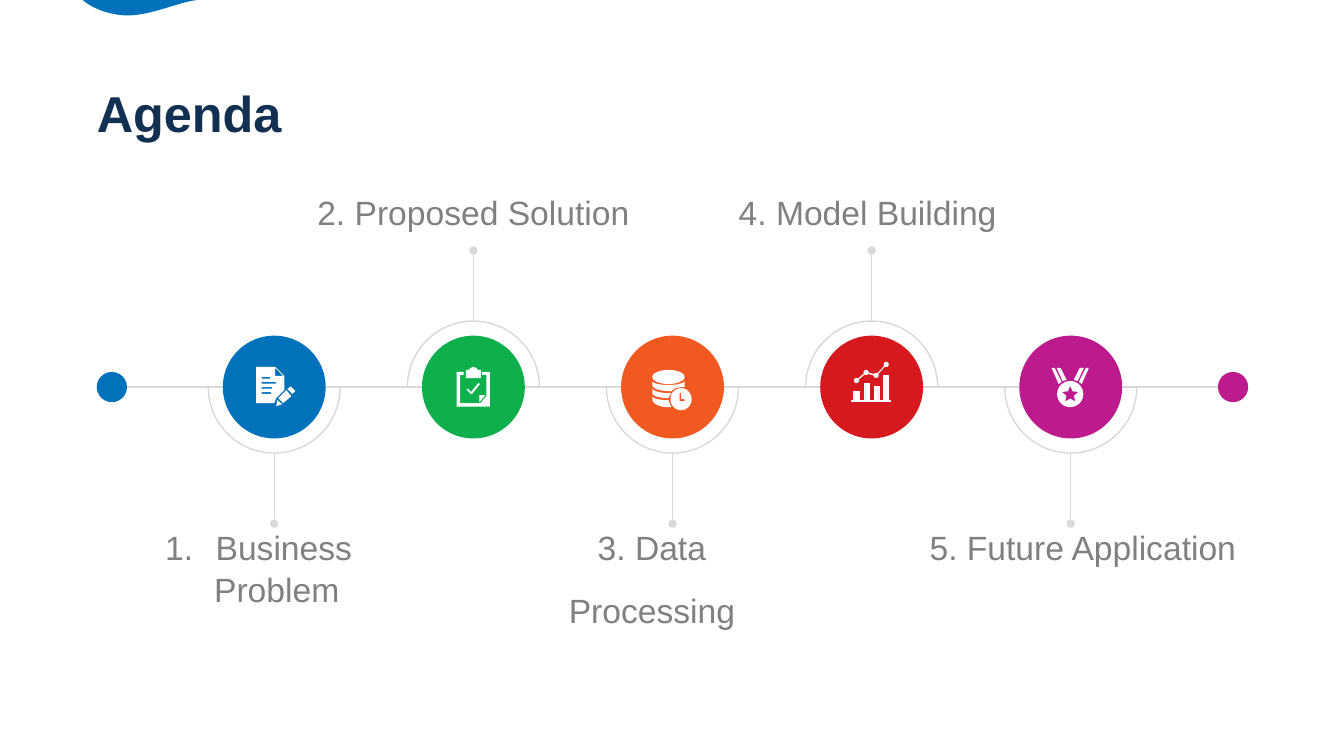
from dataclasses import dataclass
from math import cos, radians, sin

from lxml import etree
from pptx import Presentation
from pptx.dml.color import RGBColor
from pptx.enum.shapes import MSO_CONNECTOR, MSO_SHAPE
from pptx.enum.text import MSO_ANCHOR, MSO_AUTO_SIZE, PP_ALIGN
from pptx.oxml.ns import qn
from pptx.util import Inches, Pt

STRAIGHT = MSO_CONNECTOR.STRAIGHT
OVAL, ARC = MSO_SHAPE.OVAL, MSO_SHAPE.ARC
LEFT, CENTER = PP_ALIGN.LEFT, PP_ALIGN.CENTER
TOP, GROW = MSO_ANCHOR.TOP, MSO_AUTO_SIZE.SHAPE_TO_FIT_TEXT
TITLE_ONLY = 5

COLORS = {"navy": "113052", "gray": "808080", "rule": "D9D9D9", "white": "FFFFFF",
          "blue": "0071BB", "green": "0DB04A", "orange": "F05A21",
          "red": "D6181F", "magenta": "BC1A8D"}
AXIS_Y = 3.84
FIRST_X, LAST_X = 2.72, 10.62
DISC, HALO, END_DOT = 1.02, 1.31, 0.3
STEM = 0.7

Point = tuple[float, float]
Contour = list[Point]
Outline = list[Contour]


@dataclass(frozen=True)
class Line:
    text: str
    gap: float = 0  # points before
    margin: float = 0
    numbered: bool = False


@dataclass(frozen=True)
class Station:
    lines: tuple[Line, ...]
    color: str
    above: bool
    label_left: float
    label_width: float
    icon: list[Outline]


def rgb(name: str) -> RGBColor:
    return RGBColor.from_string(COLORS[name])


# Icon geometry, in hundredths of an inch from the disc centre
def curve(cx: float, cy: float, rx: float, ry: float,
          start: float = 0, end: float = 360, steps: int = 32) -> Contour:
    angles = [radians(start + (end - start) * i / steps) for i in range(steps + 1)]
    return [(cx + rx * cos(a), cy + ry * sin(a)) for a in angles]


def box(left: float, top: float, right: float, bottom: float) -> Contour:
    return [(left, top), (right, top), (right, bottom), (left, bottom)]


def bezier(p0: Point, p1: Point, p2: Point, p3: Point, steps: int = 24) -> Contour:
    return [tuple((1 - t) ** 3 * a + 3 * (1 - t) ** 2 * t * b + 3 * (1 - t) * t * t * c + t ** 3 * d
                  for a, b, c, d in zip(p0, p1, p2, p3))
            for t in (i / steps for i in range(steps + 1))]


def document_icon() -> list[Outline]:
    page = [(-18, -20), (1, -20), (10, -11), (10, 3), (2, 11), (0, 16), (-18, 16)]
    fold = [(1, -19), (9, -11), (1, -11)]
    rows = [box(-12.5, top, right, top + 1.7)
            for top, right in ((-10, -4), (-5, 1.5), (0, -2), (5, -3))]
    pencil = [(12, 3), (4, 11), (9, 16), (17, 9)]
    tip = [(3, 13), (2, 19), (8, 17)]
    eraser = [(21, 4), (16.5, -0.5), (13, 2), (18, 7)]
    return [[page, fold, *rows], [pencil], [tip], [eraser]]


def clipboard_icon() -> list[Outline]:
    tick = [(-7, 2), (-5.5, 1.5), (-2.5, 5), (5, -4), (6.5, -3), (-1.5, 7), (-2.5, 7)]
    clip = [(-7.5, -17), (-4.5, -17), (-3, -19), (0, -20), (3, -19),
            (4.5, -17), (7.5, -17), (7.5, -9), (-7.5, -9)]
    board = [(8.5, -15), (16.5, -15), (16.5, 19.5), (-16.5, 19.5), (-16.5, -15),
             (-9.5, -15), (-9.5, -12), (-13, -12), (-13, 16), (7, 16),
             (13, 9), (13, -12), (8.5, -12)]
    curl = [(12, 8), (6, 8), (6, 15)]
    return [[tick], [clip], [board], [curl]]


def database_icon() -> list[Outline]:
    lid = curve(-4, -10, 16, 7)
    upper = (curve(-4, -6, 16, 4, 180, 0) + [(12, 0), (8, 0), (2, 1.5), (-1, 4)]
             + curve(-4, -2, 16, 6, 90, 180))
    middle = curve(-4, 1, 16, 5, 180, 80) + [(-4, 11)] + curve(-4, 6, 16, 5, 90, 180)
    lower = curve(-4, 9, 16, 4, 180, 90) + curve(-4, 12, 16, 8, 80, 180)
    hands = [(7, 6), (8.5, 6), (8.5, 12), (12, 12), (12, 14), (7, 14)]
    return [[lid], [upper], [middle], [lower], [curve(8.5, 12, 10.5, 11), hands]]


def chart_icon() -> list[Outline]:
    bars = [box(left, top, left + 6.5, 13)
            for left, top in ((-18, 4), (-8, -4), (2, -1), (11, -12))]
    trend = [(-15, -6.5), (-5.5, -14.5), (4.5, -11.5), (14.5, -22.5)]
    band = [(x, y - 0.8) for x, y in trend] + [(x, y + 0.8) for x, y in reversed(trend)]
    dots = [curve(x, y, 2.5, 2.5) for x, y in trend]
    return [[shape] for shape in (*bars, box(-20, 13, 19, 14.5), band, *dots)]


def medal_icon() -> list[Outline]:
    ribbons = [[(18, -19), (15, -19), (8, -5), (11, -3)],
               [(13, -19), (9, -19), (3, -7), (7, -6)]]
    mirrored = [[(-1 - x, y) for x, y in ribbon] for ribbon in ribbons]
    star = [(-0.5 + r * cos(radians(a)), 7.5 + r * sin(radians(a)))
            for a, r in ((-90 + 36 * i, 4 if i % 2 else 8.5) for i in range(10))]
    return [[ribbon] for ribbon in ribbons + mirrored] + [[curve(-0.5, 7, 13, 13), star]]


STATIONS = [
    Station((Line("Business", margin=0.5, numbered=True), Line("Problem", gap=15, margin=0.36)),
            "blue", False, 1.21, 2.71, document_icon()),
    Station((Line("2. Proposed Solution"),), "green", True, 2.83, 3.73, clipboard_icon()),
    Station((Line("3. Data"), Line("Processing", gap=30)),
            "orange", False, 5.04, 2.85, database_icon()),
    Station((Line("4. Model Building"),), "red", True, 6.74, 3.73, chart_icon()),
    Station((Line("5. Future Application"),), "magenta", False, 8.68, 4.12, medal_icon()),
]


# Drawing functions
def write(frame, text: str, *, size: float = 24, color: str = "gray", bold: bool = False,
          align=CENTER, spacing=None, gap: float = 0, margin: float = 0,
          numbered: bool = False) -> None:
    paragraph = frame.add_paragraph() if frame.text else frame.paragraphs[0]
    paragraph.alignment, paragraph.line_spacing = align, spacing
    paragraph.space_before = Pt(gap)
    props = paragraph._p.get_or_add_pPr()
    if margin:
        props.set("marL", str(Inches(margin)))
    if numbered:
        props.set("indent", str(-Inches(margin)))
        etree.SubElement(props, qn("a:buAutoNum"), type="arabicPeriod")
    run = paragraph.add_run()
    run.text = text
    run.font.name, run.font.size, run.font.bold = "Arial", Pt(size), bold
    run.font.color.rgb = rgb(color)


def prepare(frame, wrap: bool) -> None:
    frame.margin_left = frame.margin_top = frame.margin_right = frame.margin_bottom = 0
    frame.vertical_anchor, frame.auto_size, frame.word_wrap = TOP, GROW, wrap


def draw_disc(shapes, x: float, diameter: float, color: str) -> None:
    disc = shapes.add_shape(OVAL, Inches(x - diameter / 2), Inches(AXIS_Y - diameter / 2),
                            Inches(diameter), Inches(diameter))
    disc.shadow.inherit = False
    disc.fill.solid()
    disc.fill.fore_color.rgb = rgb(color)
    disc.line.fill.background()


def draw_halo(shapes, x: float, above: bool) -> None:
    halo = shapes.add_shape(ARC, Inches(x - HALO / 2), Inches(AXIS_Y - HALO / 2),
                            Inches(HALO), Inches(HALO))
    halo.shadow.inherit = False
    halo.adjustments[0], halo.adjustments[1] = (108, 0) if above else (0, 108)
    halo.fill.background()
    halo.line.color.rgb, halo.line.width = rgb("rule"), Pt(1)


def draw_rule(shapes, start: Point, end: Point, dotted_end: bool = False) -> None:
    rule = shapes.add_connector(STRAIGHT, *(Inches(v) for v in (*start, *end)))
    rule.line.color.rgb, rule.line.width = rgb("rule"), Pt(1)
    if dotted_end:
        etree.SubElement(rule.line._get_or_add_ln(), qn("a:tailEnd"), type="oval")
    etree.SubElement(rule._element.spPr, qn("a:effectLst"))


def draw_outline(shapes, outline: Outline, color: str, x: float = 0, y: float = 0,
                 unit: float = 1) -> None:
    contours = [[(Inches(x + px * unit), Inches(y + py * unit)) for px, py in contour]
                for contour in outline]
    builder = shapes.build_freeform(*contours[0][0])
    for index, contour in enumerate(contours):
        if index:
            builder.move_to(*contour[0])
        builder.add_line_segments(contour[1:], close=True)
    form = builder.convert_to_shape()
    form.shadow.inherit = False
    form.fill.solid()
    form.fill.fore_color.rgb = rgb(color)
    form.line.fill.background()


def draw_station(shapes, station: Station, x: float) -> None:
    side = -1 if station.above else 1
    stem_y = AXIS_Y + side * HALO / 2
    draw_disc(shapes, x, DISC, station.color)
    draw_halo(shapes, x, station.above)
    draw_rule(shapes, (x, stem_y), (x, stem_y + side * STEM), dotted_end=True)
    icon = shapes.add_group_shape().shapes
    for outline in station.icon:
        draw_outline(icon, outline, "white", x, AXIS_Y, 0.01)
    label = shapes.add_textbox(Inches(station.label_left), Inches(2.1 if station.above else 5.42),
                               Inches(station.label_width), Inches(0.23))
    prepare(label.text_frame, wrap=True)
    for line in station.lines:
        write(label.text_frame, line.text, spacing=Pt(15), gap=line.gap,
              margin=line.margin, numbered=line.numbered)


def main() -> None:
    deck = Presentation()
    deck.slide_width, deck.slide_height = Inches(13.33), Inches(7.5)
    slide = deck.slides.add_slide(deck.slide_layouts[TITLE_ONLY])
    shapes = slide.shapes

    # Title and corner wave
    title = shapes.title
    title.left, title.top, title.width, title.height = (
        Inches(v) for v in (0.96, 0.81, 1.85, 0.61))
    prepare(title.text_frame, wrap=False)
    write(title.text_frame, "Agenda", size=36, color="navy", bold=True, align=LEFT)
    wave = (bezier((0.82, 0), (0.82, 0), (0.94, 0.12), (1.2, 0.15))
            + bezier((1.2, 0.15), (1.46, 0.18), (1.78, 0.01), (1.97, 0)))
    draw_outline(shapes, [wave], "blue")

    # Timeline with its end dots
    start_x, end_x = 1.11, 12.23
    draw_rule(shapes, (start_x, AXIS_Y), (end_x, AXIS_Y))
    draw_disc(shapes, start_x, END_DOT, "blue")
    draw_disc(shapes, end_x, END_DOT, "magenta")

    # Agenda stations
    pitch = (LAST_X - FIRST_X) / (len(STATIONS) - 1)
    for index, station in enumerate(STATIONS):
        draw_station(shapes, station, FIRST_X + index * pitch)

    deck.save("out.pptx")


if __name__ == "__main__":
    main()
